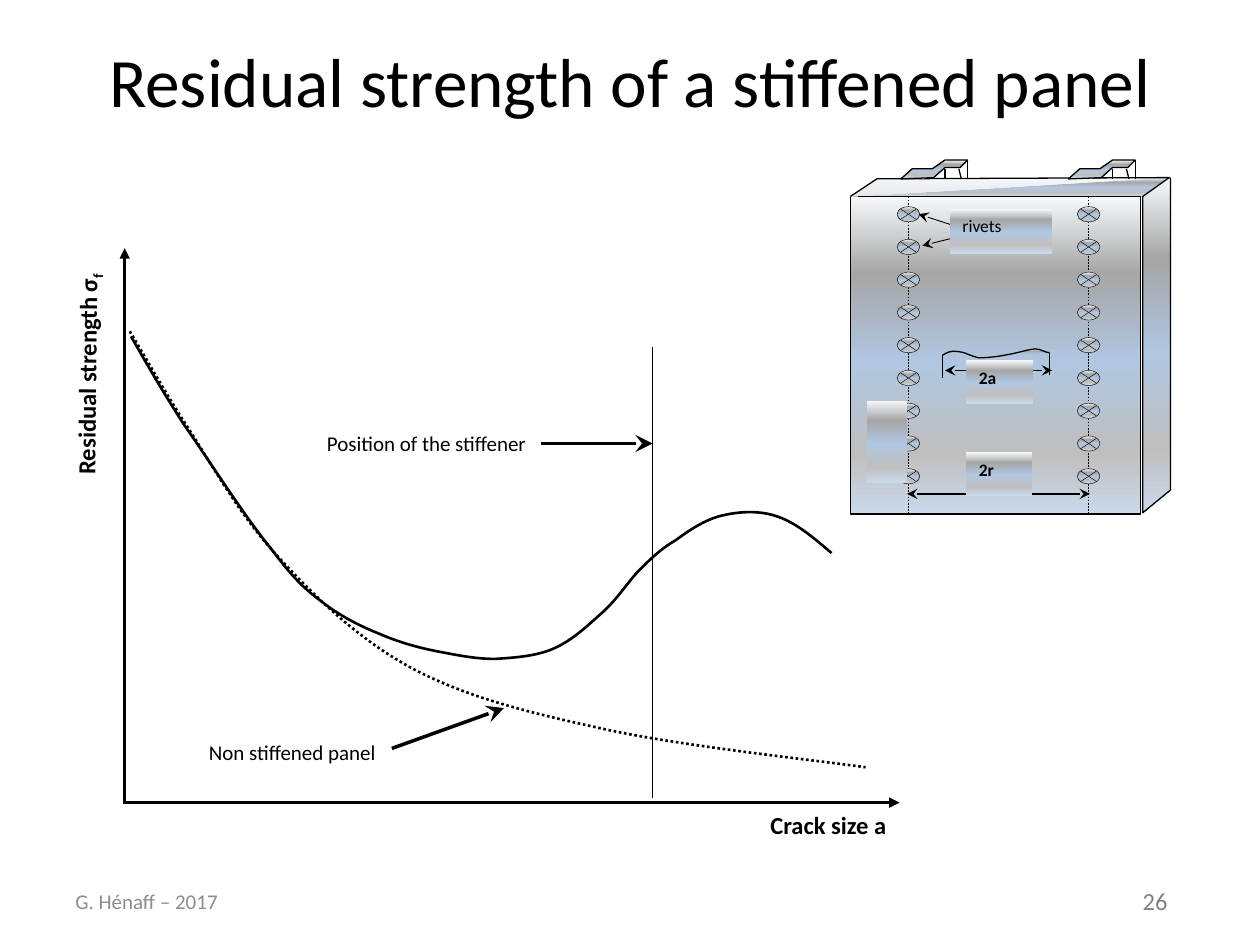
from lxml.etree import SubElement
from pptx import Presentation
from pptx.dml.color import RGBColor
from pptx.enum.dml import MSO_LINE
from pptx.enum.shapes import MSO_CONNECTOR, MSO_SHAPE
from pptx.enum.text import MSO_ANCHOR, PP_ALIGN
from pptx.oxml.ns import qn
from pptx.util import Inches, Pt

THEME = {
    "font": "Calibri",
    "ink": "000000", "number": "808080", "footer": "8C8C8C",
    "metal": [(0, "F6F9FC"), (24, "A6A6A6"), (52, "B0C6E1"), (81, "BFBFBF"), (100, "CAD9EB")],
    "title": 39.6, "axis": 14, "label": 12, "small": 10,
    "hair": 0.25, "arrow": 0.5, "thin": 0.75, "curve": 1.5, "bold": 2,
}

# text, (left, top, width, height), size, options
TEXTS = [
    ("26", (8.97, 6.98, 0.53, 0.34), THEME["axis"], {"color": THEME["number"]}),
    ("Residual strength of a stiffened panel", (0.5, 0.01, 9, 1.25), THEME["title"],
     {"center": True, "middle": True, "wrap": True}),
    ("G. Hénaff – 2017", (0.5, 6.95, 2.33, 0.4), THEME["label"],
     {"color": THEME["footer"], "middle": True, "wrap": True}),
    ("Residual strength σ", (-0.22, 2.8, 1.82, 0.34), THEME["axis"],
     {"center": True, "bold": True, "subscript": "f", "rotation": 270.5}),
    ("Crack size a", (6.01, 6.38, 1.13, 0.34), THEME["axis"], {"center": True, "bold": True}),
    ("Non stiffened panel", (1.55, 5.82, 1.54, 0.3), THEME["label"], {"center": True}),
    ("Position of the stiffener", (2.48, 3.37, 1.81, 0.3), THEME["label"], {"center": True}),
]

# Bezier curves: a start point, then two control points and an end point per segment
PLAIN_CURVE = [
    (1.03, 2.63), (1.1, 2.74), (1.26, 3.03), (1.45, 3.33), (1.65, 3.63), (1.89, 4.08), (2.2, 4.41),
    (2.5, 4.74), (2.85, 5.08), (3.28, 5.31), (3.72, 5.54), (4.21, 5.66), (4.81, 5.79),
    (5.4, 5.92), (6.44, 6.03), (6.87, 6.09)]
STIFFENED_CURVE = [
    (1.04, 2.67), (1.16, 2.88), (1.28, 3.09), (1.46, 3.37), (1.65, 3.64), (1.95, 4.11), (2.14, 4.34),
    (2.32, 4.58), (2.41, 4.67), (2.56, 4.78), (2.7, 4.89), (2.86, 4.97), (3.01, 5.03),
    (3.17, 5.1), (3.32, 5.14), (3.47, 5.17), (3.63, 5.2), (3.77, 5.23), (3.93, 5.23),
    (4.08, 5.22), (4.25, 5.21), (4.39, 5.15), (4.53, 5.09), (4.65, 4.98), (4.76, 4.88),
    (4.88, 4.78), (4.97, 4.64), (5.06, 4.54), (5.16, 4.44), (5.24, 4.36), (5.36, 4.29),
    (5.47, 4.21), (5.6, 4.12), (5.74, 4.09), (5.87, 4.06), (6.03, 4.05), (6.17, 4.1),
    (6.32, 4.15), (6.46, 4.27), (6.6, 4.39)]
CRACK = [
    (7.48, 2.82), (7.51, 2.8), (7.55, 2.78), (7.6, 2.79), (7.65, 2.79), (7.71, 2.83), (7.77, 2.84),
    (7.83, 2.84), (7.92, 2.83), (7.97, 2.82), (8.03, 2.81), (8.07, 2.8), (8.11, 2.79),
    (8.15, 2.78), (8.19, 2.77), (8.22, 2.77), (8.26, 2.77), (8.3, 2.8), (8.33, 2.8)]

PANEL_TOP = [(6.87, 1.56), (9.06, 1.56), (9.28, 1.41), (7.09, 1.54)]
PANEL_FRONT = (6.75, 1.56, 2.3, 2.52)
PANEL_SIDE = [(6.75, 1.56), (6.96, 1.42), (9.28, 1.41), (9.07, 1.56), (9.07, 4.07), (9.29, 3.89), (9.29, 1.41)]

# Stiffener ends, relative to their left edge
STIFFENER_LEFTS = (7.15, 8.48)
STIFFENER_END = [(0, 1.42), (0.09, 1.34), (0.25, 1.34), (0.35, 1.27), (0.53, 1.27),
                 (0.47, 1.33), (0.35, 1.33), (0.26, 1.41)]
STIFFENER_EDGES = [((0.35, 1.34), (0.35, 1.42)), ((0.46, 1.34), (0.48, 1.42)), ((0.53, 1.27), (0.53, 1.42))]

RIVET_CENTERS = (7.21, 8.64)
RIVET_COUNT, RIVET_TOP, RIVET_PITCH = 9, 1.64, 0.26
RIVET_WIDTH, RIVET_HEIGHT = 0.18, 0.12

# arrows and the label plate that lies over them
CALLOUTS = [
    ([((7.29, 1.7), (7.63, 1.81)), ((7.32, 1.95), (7.64, 1.87))], "arrow", None,
     "rivets", (7.54, 1.66, 0.81, 0.35), False),
    ([((7.5, 2.94), (8.35, 2.94))], "thin", "stealth", "2a", (7.67, 2.86, 0.53, 0.34), True),
    ([((7.2, 3.92), (8.65, 3.92))], "thin", "stealth", "2r", (7.67, 3.59, 0.52, 0.34), True),
]
BLANK_PLATE = (6.88, 3.18, 0.32, 0.65)


def style_line(line, width, dash=None):
    if width is None:
        line.fill.background()
        return
    line.color.rgb = RGBColor.from_string(THEME["ink"])
    line.width = Pt(width)
    if dash:
        line.dash_style = dash


def paint_metal(shape):
    """Fill with the five-stop gradient, running from top to bottom."""
    shape.fill.gradient()
    shape.fill.gradient_angle = 270
    stops = shape._element.spPr.find(f"{qn('a:gradFill')}/{qn('a:gsLst')}")
    for stop in list(stops):
        stops.remove(stop)
    for percent, color in THEME["metal"]:
        stop = SubElement(stops, qn("a:gs"), pos=str(percent * 1000))
        SubElement(stop, qn("a:srgbClr"), val=color)


def add_line(shapes, start, end, width, dash=None, head=None, tail=None, size="med"):
    line = shapes.add_connector(MSO_CONNECTOR.STRAIGHT, *map(Inches, start + end))
    style_line(line.line, width, dash)
    for tag, kind in (("a:headEnd", head), ("a:tailEnd", tail)):
        if kind:
            SubElement(line.line._get_or_add_ln(), qn(tag), type=kind, w=size, len=size)
    SubElement(line._element.spPr, qn("a:effectLst"))


def add_outline(shapes, points, width, metal=True, closed=False, curved=False, dash=None):
    """Draw a freeform; when curved, each three points form one Bezier segment."""
    corners = [(Inches(x), Inches(y)) for x, y in points]
    builder = shapes.build_freeform(*corners[0])
    builder.add_line_segments(corners[1:], close=closed)
    shape = builder.convert_to_shape()
    shape.shadow.inherit = False
    if metal:
        paint_metal(shape)
    else:
        shape.fill.background()
    style_line(shape.line, width, dash)
    if curved:
        outline = next(shape._element.iter(qn("a:path")))
        steps = outline.findall(qn("a:lnTo"))
        for first in range(0, len(steps), 3):
            curve = SubElement(outline, qn("a:cubicBezTo"))
            for step in steps[first:first + 3]:
                curve.append(step[0])
                outline.remove(step)


def add_metal(shapes, kind, place, width=None):
    shape = shapes.add_shape(kind, *map(Inches, place))
    shape.shadow.inherit = False
    paint_metal(shape)
    style_line(shape.line, width)
    return shape


def write(shape, text, size, color=THEME["ink"], bold=False, center=False, middle=False,
          wrap=False, subscript=None, rotation=0):
    shape.rotation = rotation
    frame = shape.text_frame
    frame.text = text
    frame.word_wrap = wrap
    frame.vertical_anchor = MSO_ANCHOR.MIDDLE if middle else MSO_ANCHOR.TOP
    paragraph = frame.paragraphs[0]
    paragraph.alignment = PP_ALIGN.CENTER if center else PP_ALIGN.LEFT
    if subscript:
        span = paragraph.add_run()
        span.text = subscript
        span.font._element.set("baseline", "-25000")
    for span in paragraph.runs:
        span.font.name = THEME["font"]
        span.font.size = Pt(size)
        span.font.bold = bold
        span.font.color.rgb = RGBColor.from_string(color)


def add_rivet_row(shapes, center):
    add_line(shapes, (center, 1.56), (center, 4.07), THEME["hair"], MSO_LINE.DASH)
    for index in range(RIVET_COUNT):
        top = RIVET_TOP + index * RIVET_PITCH
        place = (center - RIVET_WIDTH / 2, top, RIVET_WIDTH, RIVET_HEIGHT)
        add_metal(shapes, MSO_SHAPE.OVAL, place, THEME["hair"])
        left, right, upper, lower = center - 0.06, center + 0.06, top + 0.02, top + 0.1
        add_line(shapes, (left, upper), (right, lower), THEME["hair"])
        add_line(shapes, (left, lower), (right, upper), THEME["hair"])


def add_panel(shapes):
    thin = THEME["thin"]
    add_outline(shapes, PANEL_TOP, None)
    add_metal(shapes, MSO_SHAPE.RECTANGLE, PANEL_FRONT, thin)
    add_outline(shapes, PANEL_SIDE, thin)
    add_outline(shapes, CRACK, thin, curved=True)
    for x, y in (CRACK[0], CRACK[-1]):
        add_line(shapes, (x, y), (x, y + 0.18), THEME["hair"])
    for left in STIFFENER_LEFTS:
        add_outline(shapes, [(left + x, y) for x, y in STIFFENER_END], thin, closed=True)
        for (x1, y1), (x2, y2) in STIFFENER_EDGES:
            add_line(shapes, (left + x1, y1), (left + x2, y2), thin)
    for center in RIVET_CENTERS:
        add_rivet_row(shapes, center)
    for arrows, weight, tail, text, place, bold in CALLOUTS:
        for start, end in arrows:
            add_line(shapes, start, end, THEME[weight], head="stealth", tail=tail)
        plate = add_metal(shapes, MSO_SHAPE.RECTANGLE, place)
        write(plate, text, THEME["small"], bold=bold)
    add_metal(shapes, MSO_SHAPE.RECTANGLE, BLANK_PLATE)


def add_graph(shapes):
    curve, bold = THEME["curve"], THEME["bold"]
    add_line(shapes, (0.99, 6.37), (0.99, 1.97), curve, tail="triangle")
    add_line(shapes, (0.98, 6.37), (7.14, 6.37), curve, tail="triangle")
    add_outline(shapes, PLAIN_CURVE, curve, metal=False, curved=True, dash=MSO_LINE.ROUND_DOT)
    add_outline(shapes, STIFFENED_CURVE, curve, metal=False, curved=True)
    add_line(shapes, (5.18, 6.33), (5.18, 2.75), THEME["thin"])
    add_line(shapes, (3.11, 5.94), (4, 5.62), bold, tail="stealth", size="lg")
    add_line(shapes, (4.29, 3.52), (5.18, 3.52), bold, tail="stealth", size="lg")


def main():
    deck = Presentation()
    deck.slide_width, deck.slide_height = Inches(10), Inches(7.5)
    page = deck.slides.add_slide(deck.slide_layouts[6])
    for text, place, size, options in TEXTS:
        write(page.shapes.add_textbox(*map(Inches, place)), text, size, **options)
    add_graph(page.shapes)
    add_panel(page.shapes.add_group_shape().shapes)
    deck.save("out.pptx")


if __name__ == "__main__":
    main()
